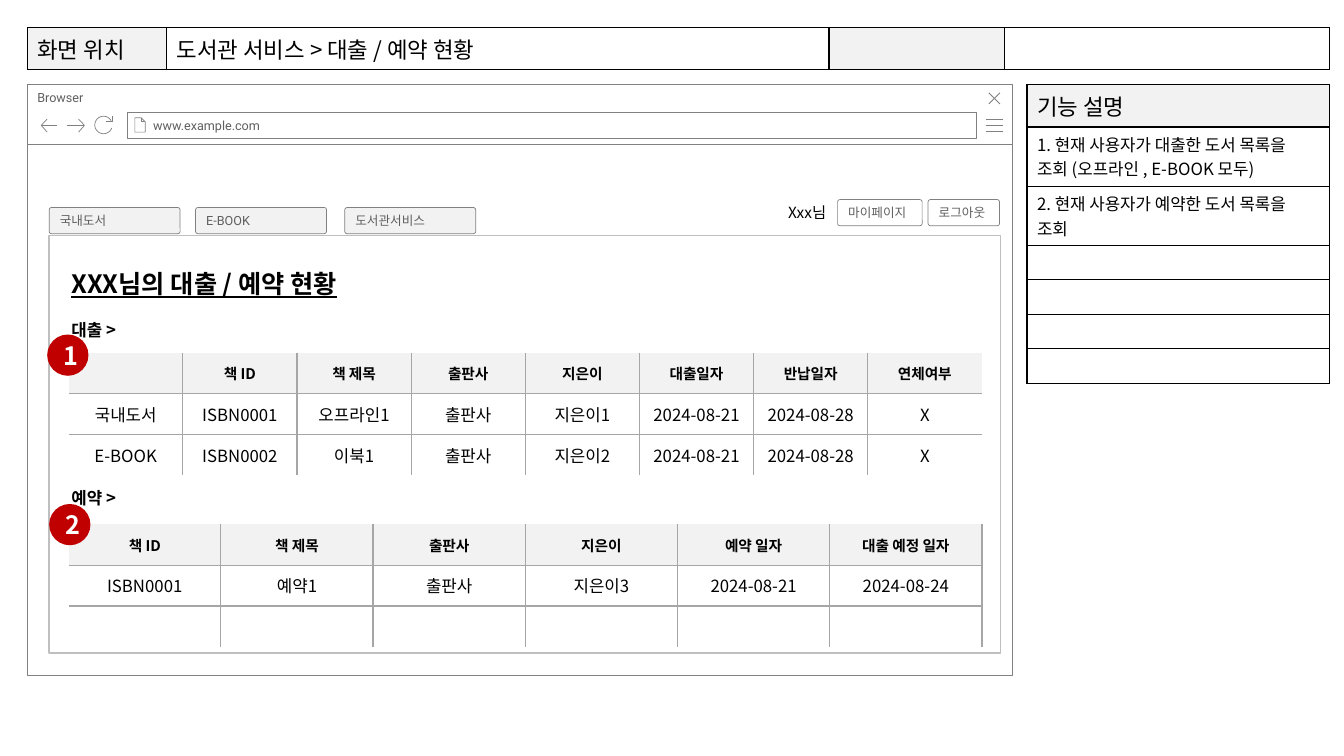
import math

from lxml import etree
from pptx import Presentation
from pptx import util as u
from pptx.dml.color import RGBColor
from pptx.enum import shapes, text
from pptx.oxml.ns import qn

KOREAN, LATIN = "Noto Sans CJK KR", "Roboto"
BLACK, WHITE, PALE, RED = "000000", "FFFFFF", "F2F2F2", "C00000"
OUTLINE, PANEL_LINE, GRID, CAPTION = "808080", "BFBFBF", "A6A6A6", "5F5F5F"
KIND = shapes.MSO_SHAPE
TOP, MIDDLE = text.MSO_ANCHOR.TOP, text.MSO_ANCHOR.MIDDLE
LEFT, CENTER = text.PP_ALIGN.LEFT, text.PP_ALIGN.CENTER


def color(hex_code):
    return RGBColor.from_string(hex_code)


def apply(target, values):
    for name, value in values.items():
        setattr(target, name, value)


def cm(*lengths):
    return [u.Cm(length) for length in lengths]


class Wireframe:
    """Draws wireframe elements on one slide, with lengths in centimetres."""

    body = {"size": 12, "face": KOREAN, "ink": BLACK}
    caption = {"size": 9, "face": LATIN, "ink": CAPTION}

    def __init__(self, slide):
        self.slide = slide

    def put_words(self, frame, words, style, align=LEFT):
        paragraph = frame.paragraphs[0]
        paragraph.alignment = align
        size = u.Pt(style["size"])
        if not words:
            # An empty cell keeps the height of its text size.
            etree.SubElement(paragraph._p, qn("a:endParaRPr"), sz=str(size.centipoints))
            return
        run = paragraph.add_run()
        run.text = words
        apply(run.font, {"size": size, "name": style["face"],
                         "bold": style.get("bold", False),
                         "underline": style.get("underline", False)})
        run.font.color.rgb = color(style["ink"])
        latin = run.font._element.find(qn("a:latin"))
        latin.addnext(etree.Element(qn("a:ea"), typeface=KOREAN))

    def outline(self, shape, line, width):
        shape.shadow.inherit = False
        if line:
            shape.line.color.rgb = color(line)
            shape.line.width = u.Pt(width)
        else:
            shape.line.fill.background()

    def box(self, kind, place, fill=WHITE, line=OUTLINE, width=0.5, words="",
            style=caption, align=LEFT, anchor=MIDDLE, indent=0.25):
        shape = self.slide.shapes.add_shape(kind, *cm(*place))
        if fill:
            shape.fill.solid()
            shape.fill.fore_color.rgb = color(fill)
        else:
            shape.fill.background()
        self.outline(shape, line, width)
        if kind == KIND.ROUNDED_RECTANGLE:
            shape.adjustments[0] = 0.088
        if words:
            apply(shape.text_frame, {"word_wrap": True, "vertical_anchor": anchor,
                                     "margin_left": u.Cm(indent)})
            self.put_words(shape.text_frame, words, style, align)

    def button(self, place, words, fill=WHITE):
        self.box(KIND.ROUNDED_RECTANGLE, place, fill, words=words)

    def badge(self, left, top, number):
        self.box(KIND.OVAL, (left, top, 1.04, 1.04), RED, None, words=number, align=CENTER,
                 style={"size": 18, "face": KOREAN, "ink": WHITE, "bold": True})

    def label(self, place, words, **changes):
        frame = self.slide.shapes.add_textbox(*cm(*place)).text_frame
        frame.word_wrap = True
        self.put_words(frame, words, {**self.body, **changes})

    def icon(self, *strokes, width=0.5):
        """Draw a line icon from strokes, each a list of points."""
        strokes = [[(x * 1000, y * 1000) for x, y in stroke] for stroke in strokes]
        builder = self.slide.shapes.build_freeform(*strokes[0][0], scale=u.Cm(0.001))
        for index, (start, *rest) in enumerate(strokes):
            if index:
                builder.move_to(*start)
            builder.add_line_segments(rest, close=False)
        shape = builder.convert_to_shape()
        shape.fill.background()
        self.outline(shape, OUTLINE, width)

    def border(self, cell, side, line):
        edge = etree.SubElement(cell._tc.get_or_add_tcPr(), qn("a:ln" + side), w=str(u.Pt(1)))
        if line:
            fill = etree.SubElement(edge, qn("a:solidFill"))
            etree.SubElement(fill, qn("a:srgbClr"), val=line)
        else:
            etree.SubElement(edge, qn("a:noFill"))

    def table(self, left, top, widths, heights, rows, line, outer, cell_format):
        """outer names the outside edges that are ruled; cell_format gives
        fill, text style, alignment and anchor for a row and column."""
        grid = self.slide.shapes.add_table(
            len(heights), len(widths), *cm(left, top, sum(widths), sum(heights))).table
        apply(grid, {"first_row": False, "horz_banding": False})
        for column, width in zip(grid.columns, widths):
            column.width = u.Cm(width)
        for row, height in zip(grid.rows, heights):
            row.height = u.Cm(height)
        for r, row in enumerate(rows):
            for c, words in enumerate(row):
                cell = grid.cell(r, c)
                at_edge = {"L": c == 0, "R": c == len(widths) - 1,
                           "T": r == 0, "B": r == len(heights) - 1}
                for side, outside in at_edge.items():
                    self.border(cell, side, line if not outside or side in outer else None)
                fill, style, align, anchor = cell_format(r, c)
                if fill:
                    cell.fill.solid()
                    cell.fill.fore_color.rgb = color(fill)
                else:
                    cell.fill.background()
                cell.vertical_anchor = anchor
                self.put_words(cell.text_frame, words, style, align)

    def book_list(self, top, rows, outer=""):
        def cell_format(r, c):
            heading = {**self.body, "size": 10.5, "bold": True}
            return (None if r else PALE), (self.body if r else heading), CENTER, MIDDLE

        count = len(rows[0])
        self.table(1.73, top, [23.02 / count] * count, [1.03] * len(rows), rows,
                   GRID, outer, cell_format)


def draw_browser(page):
    page.box(KIND.RECTANGLE, (0.69, 3.63, 24.82, 13.39))
    page.box(KIND.RECTANGLE, (0.69, 2.13, 24.82, 1.5), words="Browser", anchor=TOP)
    page.icon(*[[(24.84, y), (25.27, y)] for y in (3.3, 3.15, 3)])
    page.icon([(25.2, 2.34), (24.92, 2.62)], [(24.92, 2.34), (25.2, 2.62)], width=0.75)
    page.box(KIND.RECTANGLE, (3.2, 2.82, 21.41, 0.66), words="www.example.com", indent=0.66)
    page.icon([(3.56, 2.97), (3.56, 3.07), (3.66, 3.07)],
              [(3.4, 2.97), (3.4, 3.33), (3.66, 3.33), (3.66, 3.07), (3.56, 2.97), (3.4, 2.97)])
    for tip, bend, end in ((1.04, 1.19, 1.45), (2.13, 1.98, 1.7)):
        page.icon([(bend, 3.33), (tip, 3.16), (bend, 3)], [(tip, 3.16), (end, 3.16)])
    turn = [math.radians(angle) for angle in range(20, 331, 10)]
    page.icon([(2.82, 2.92), (2.82, 3.05), (2.67, 3.05)],
              [(2.61 + 0.22 * math.cos(a), 3.15 + 0.22 * math.sin(a)) for a in turn])


def draw_guides(page):
    heading = {**page.body, "size": 16}
    notes = ["기능 설명", "1. 현재 사용자가 대출한 도서 목록을 조회 (오프라인 , E-BOOK 모두)",
             "2. 현재 사용자가 예약한 도서 목록을 조회", "", "", "", ""]
    page.table(25.88, 2.13, [7.62], [1.07, 1.49, 1.49] + [0.87] * 4,
               [[note] for note in notes], BLACK, "LRTB",
               lambda r, c: (None if r else PALE, page.body if r else heading, LEFT, TOP))
    page.table(0.69, 0.69, [3.51, 16.69, 4.42, 8.2], [1.07],
               [["화면 위치", "도서관 서비스 > 대출 / 예약 현황", "", ""]], BLACK, "LRTB",
               lambda r, c: (None if c % 2 else PALE, heading, LEFT, TOP))


def draw_content(page):
    page.button((21.11, 5.03, 2.13, 0.66), "마이페이지")
    page.button((23.39, 5.03, 1.8, 0.66), "로그아웃")
    for left, menu in ((1.24, "국내도서"), (4.93, "E-BOOK"), (8.69, "도서관서비스")):
        page.button((left, 5.23, 3.3, 0.66), menu, PALE)
    page.box(KIND.RECTANGLE, (1.24, 5.94, 23.98, 10.52), None, PANEL_LINE, 1)
    page.label((1.55, 6.63, 8.08, 1.02), "XXX님의 대출 / 예약 현황",
               size=18, bold=True, underline=True)
    for top, section in ((7.92, "대출 >"), (12.17, "예약 >")):
        page.label((1.55, top, 1.98, 0.76), section, bold=True)
    page.book_list(8.89, [
        ["", "책 ID", "책 제목", "출판사", "지은이", "대출일자", "반납일자", "연체여부"],
        ["국내도서", "ISBN0001", "오프라인1", "출판사", "지은이1", "2024-08-21", "2024-08-28", "X"],
        ["E-BOOK", "ISBN0002", "이북1", "출판사", "지은이2", "2024-08-21", "2024-08-28", "X"]])
    page.book_list(13.21, [
        ["책 ID", "책 제목", "출판사", "지은이", "예약 일자", "대출 예정 일자"],
        ["ISBN0001", "예약1", "출판사", "지은이3", "2024-08-21", "2024-08-24"],
        [""] * 6], outer="R")
    page.badge(1.19, 8.43, "1")
    page.badge(1.24, 12.7, "2")
    page.label((19.61, 5, 1.5, 0.74), "Xxx님", size=11)


def main():
    deck = Presentation()
    apply(deck, {"slide_width": u.Cm(33.87), "slide_height": u.Cm(19.05)})
    page = Wireframe(deck.slides.add_slide(deck.slide_layouts[6]))
    draw_browser(page)
    draw_guides(page)
    draw_content(page)
    deck.save("out.pptx")


if __name__ == "__main__":
    main()
